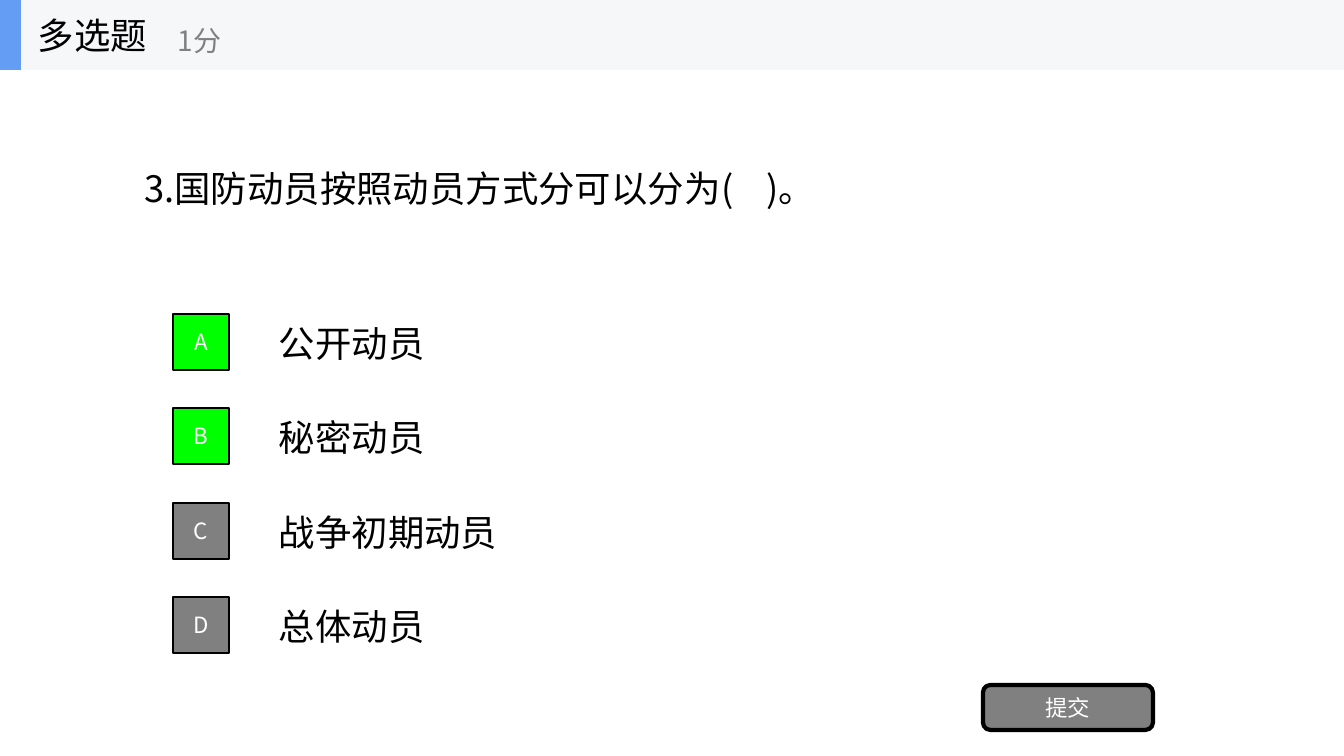
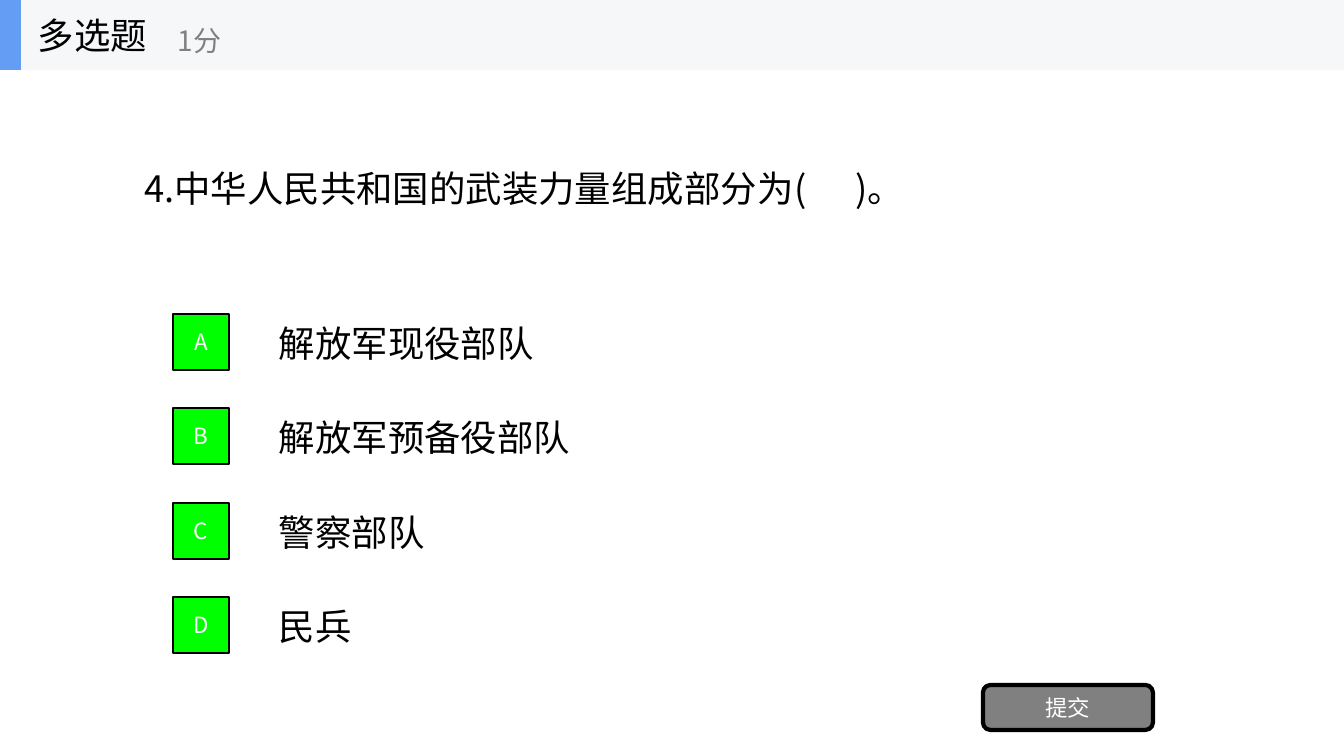
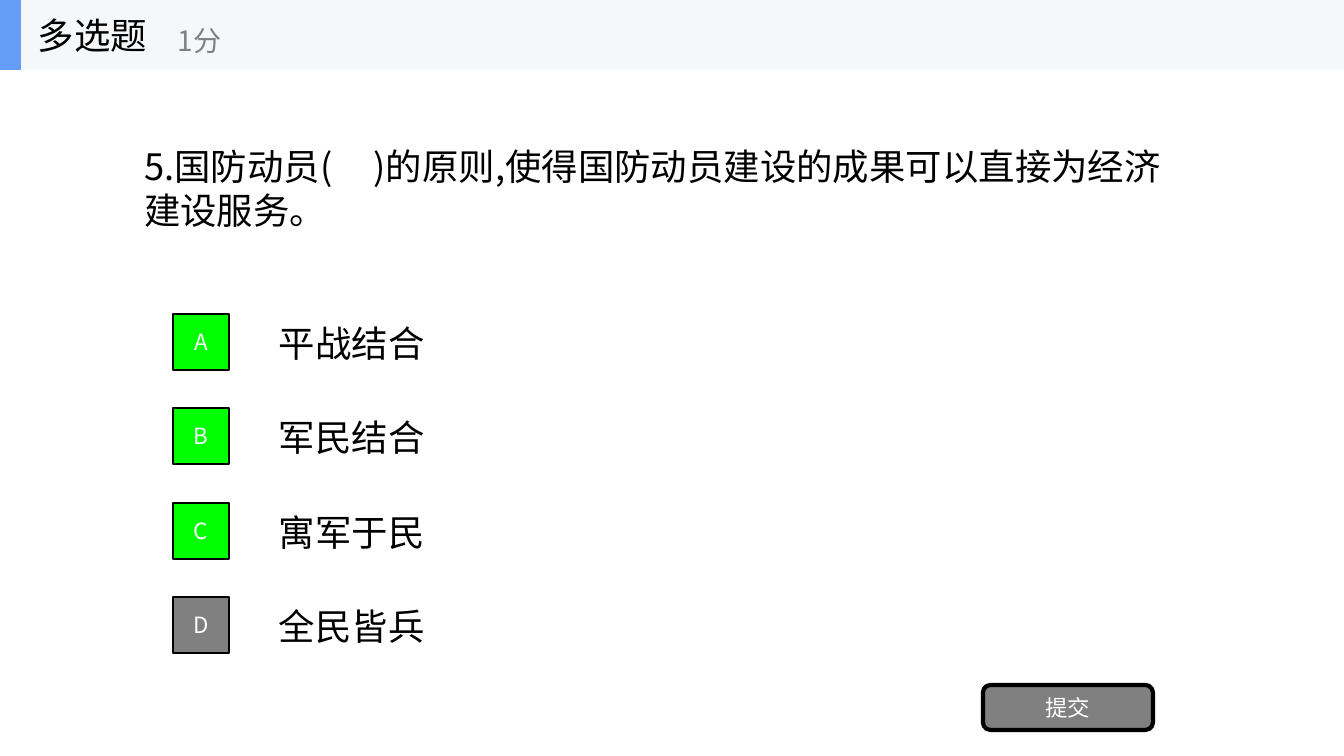
"""Build three multiple-choice quiz slides on national defence mobilisation."""
from lxml import etree
from pptx import Presentation
from pptx import util as u
from pptx.dml.color import RGBColor
from pptx.enum import shapes, text
from pptx.oxml import ns

EMU_PER_INCH = 914400
PX_PER_INCH = 100.8
FONT = "Noto Sans CJK SC"

BLACK = RGBColor(0x00, 0x00, 0x00)
WHITE = RGBColor(0xFF, 0xFF, 0xFF)
GRAY = RGBColor(0x80, 0x80, 0x80)
CORRECT_GREEN = RGBColor(0x00, 0xFF, 0x00)
BAND_GRAY = RGBColor(0xF6, 0xF7, 0xF8)
ACCENT_BLUE = RGBColor(0x63, 0x9E, 0xF4)

SLIDE_WIDTH, SLIDE_HEIGHT = 1344, 756
BAND_HEIGHT = 70
QUESTION_MIDDLE = 188
LINE_HEIGHT = 53
BADGE_TOP, BADGE_SIZE = 314, 56

QUESTIONS = [
    ("3.国防动员按照动员方式分可以分为(    )。", 711, LINE_HEIGHT,
     ["公开动员", "秘密动员", "战争初期动员", "总体动员"], "AB"),
    ("4.中华人民共和国的武装力量组成部分为(      )。", 805, LINE_HEIGHT,
     ["解放军现役部队", "解放军预备役部队", "警察部队", "民兵"], "ABCD"),
    ("5.国防动员(     )的原则,使得国防动员建设的成果可以直接为经济建设服务。", 1047, 98,
     ["平战结合", "军民结合", "寓军于民", "全民皆兵"], "ABC"),
]


def px(length):
    return u.Emu(round(length * EMU_PER_INCH / PX_PER_INCH))


def write(shape, content, size, color, align=text.PP_ALIGN.LEFT):
    frame = shape.text_frame
    frame.text = content
    frame.vertical_anchor = text.MSO_ANCHOR.MIDDLE
    paragraph = frame.paragraphs[0]
    paragraph.alignment = align
    run = paragraph.runs[0]
    run.font.name = FONT
    run.font.size = u.Pt(size)
    run.font.color.rgb = color
    east_asian = etree.Element(ns.qn("a:ea"), typeface=FONT)
    run.font._element.find(ns.qn("a:latin")).addnext(east_asian)


def add_label(parent, box, content, size=26, color=BLACK, wrap=True):
    label = parent.shapes.add_textbox(*map(px, box))
    write(label, content, size, color)
    label.text_frame.word_wrap = wrap
    if wrap:
        label.text_frame.auto_size = text.MSO_AUTO_SIZE.SHAPE_TO_FIT_TEXT


def add_block(parent, box, fill, outline=0, content="", kind=shapes.MSO_SHAPE.RECTANGLE):
    block = parent.shapes.add_shape(kind, *map(px, box))
    block.shadow.inherit = False
    block.fill.solid()
    block.fill.fore_color.rgb = fill
    if outline:
        block.line.color.rgb = BLACK
        block.line.width = u.Pt(outline)
    else:
        block.line.fill.background()
    if content:
        write(block, content, 16, WHITE, text.PP_ALIGN.CENTER)


def set_question(slide, question, width, height):
    title = slide.shapes.title
    title.left, title.top = px(134), px(QUESTION_MIDDLE - height / 2)
    title.width, title.height = px(width), px(height)
    write(title, question, 26, BLACK)
    title.text_frame.word_wrap = True
    title.text_frame.auto_size = text.MSO_AUTO_SIZE.SHAPE_TO_FIT_TEXT


def add_option(slide, index, letter, answer, correct):
    top = BADGE_TOP + index * 189 // 2
    width = (312 + 364 * len(answer)) // 10
    add_label(slide, (269, top + 2, width, LINE_HEIGHT), answer)
    fill, outline = (CORRECT_GREEN, 2) if correct else (GRAY, 1)
    add_block(slide, (173, top, BADGE_SIZE, BADGE_SIZE), fill, outline, letter)


def add_header(slide):
    header = slide.shapes.add_group_shape()
    add_block(header, (0, 0, SLIDE_WIDTH, BAND_HEIGHT), BAND_GRAY)
    add_block(header, (0, 0, 21, BAND_HEIGHT), ACCENT_BLUE)
    add_label(header, (28, 0, 210, BAND_HEIGHT), "多选题", wrap=False)
    add_label(header, (168, 12, 252, 56), "1分", 20, GRAY, wrap=False)


def add_quiz_slide(presentation, question, width, height, answers, correct_letters):
    slide = presentation.slides.add_slide(presentation.slide_layouts[5])
    set_question(slide, question, width, height)
    for index, (letter, answer) in enumerate(zip("ABCD", answers)):
        add_option(slide, index, letter, answer, letter in correct_letters)
    add_block(slide, (983, 685, 170, 45), GRAY, 3, "提交",
              shapes.MSO_SHAPE.ROUNDED_RECTANGLE)
    add_header(slide)


def main():
    presentation = Presentation()
    presentation.slide_width = px(SLIDE_WIDTH)
    presentation.slide_height = px(SLIDE_HEIGHT)
    for question in QUESTIONS:
        add_quiz_slide(presentation, *question)
    presentation.save("out.pptx")


if __name__ == "__main__":
    main()
